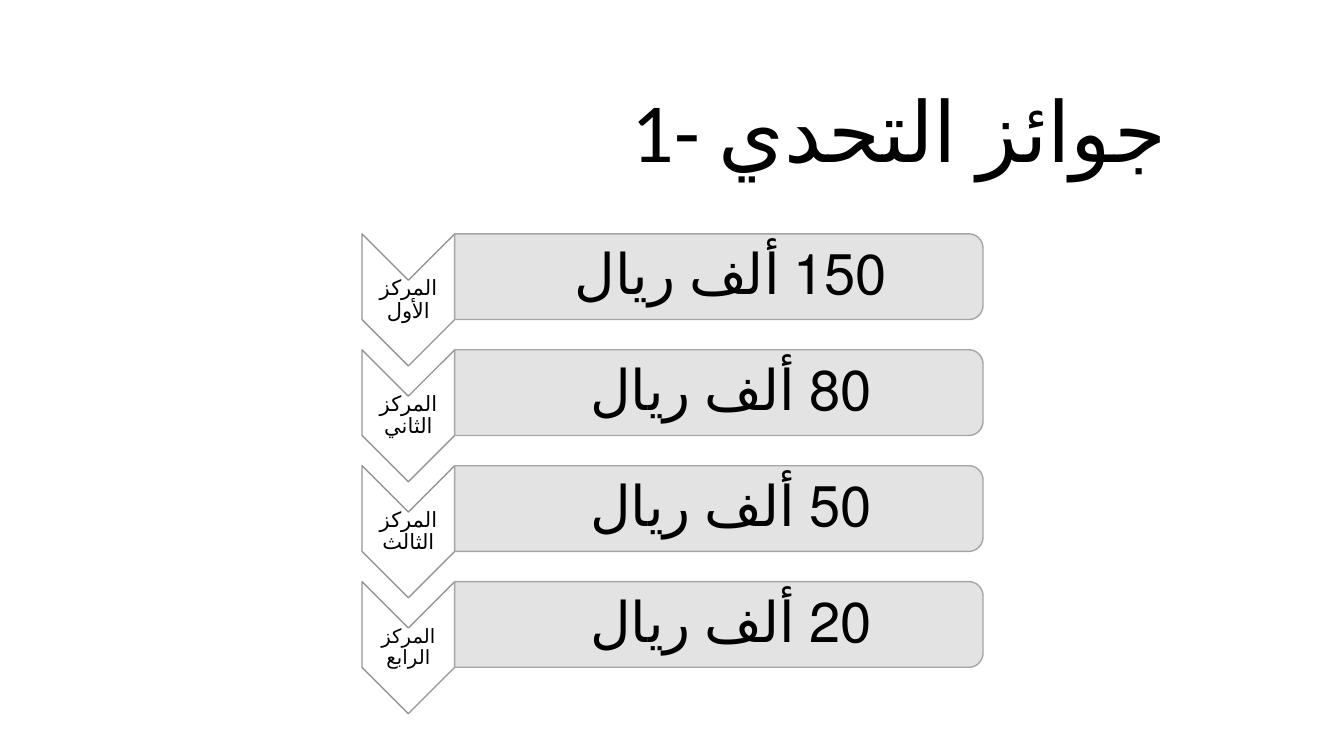
from math import cos, pi, sin

from lxml.etree import SubElement
from pptx import Presentation
from pptx.dml.color import RGBColor
from pptx.enum.lang import MSO_LANGUAGE_ID
from pptx.enum.text import MSO_ANCHOR, PP_ALIGN
from pptx.oxml.ns import qn
from pptx.util import Inches, Pt

TITLE = "1- جوائز التحدي"
PRIZES = [  # rank, rank text size, prize
    ("المركز الأول", 15, "150 ألف ريال"),
    ("المركز الثاني", 15, "80 ألف ريال"),
    ("المركز الثالث", 15, "50 ألف ريال"),
    ("المركز الرابع", 14, "20 ألف ريال"),
]

LEFT, TOP, PITCH = 3.59, 2.32, 1.15
RANK_WIDTH, PRIZE_WIDTH = 0.92, 5.24
ROW_HEIGHT, POINT_DEPTH, CORNER = 0.85, 0.46, 0.14
INK, FONT = "000000", "Calibri"


def color(hex_code):
    """Turn a hex string into a colour."""
    return RGBColor.from_string(hex_code)


def write(shape, text, size, align=PP_ALIGN.CENTER, anchor=MSO_ANCHOR.MIDDLE,
          insets=None, after=0, rtl=False, hanging=0):
    """Put one formatted paragraph into a shape; after is a share of the size."""
    frame = shape.text_frame
    frame.word_wrap = True
    frame.vertical_anchor = anchor
    if insets:
        (frame.margin_left, frame.margin_top,
         frame.margin_right, frame.margin_bottom) = map(Inches, insets)
    paragraph = frame.paragraphs[0]
    paragraph.alignment = align
    paragraph.line_spacing = 0.9
    paragraph.space_after = Pt(after * size)
    properties = paragraph._p.get_or_add_pPr()
    if rtl:
        properties.set("rtl", "1")
    if hanging:
        paragraph.level = 1
        properties.set("marL", str(Inches(hanging)))
        properties.set("indent", str(-Inches(hanging)))
    run = paragraph.add_run()
    run.text = text
    run.font.size = Pt(size)
    run.font.name = FONT
    run.font.language_id = MSO_LANGUAGE_ID.ARABIC
    run.font.color.rgb = color(INK)


def outline(slide, points, fill, line, opacity=100):
    """Draw a closed outline through points given in inches."""
    start, *rest = [(Inches(x), Inches(y)) for x, y in points]
    builder = slide.shapes.build_freeform(*start)
    builder.add_line_segments(rest, close=True)
    shape = builder.convert_to_shape()
    shape.shadow.inherit = False
    shape.fill.solid()
    shape.fill.fore_color.rgb = color(fill)
    if opacity < 100:
        solid = shape._element.spPr.find(qn("a:solidFill"))
        SubElement(solid[0], qn("a:alpha")).set("val", str(opacity * 1000))
    shape.line.color.rgb = color(line)
    shape.line.width = Pt(1)
    return shape


def chevron_points(left, top):
    """Corners of a chevron that points down."""
    right, middle = left + RANK_WIDTH, left + RANK_WIDTH / 2
    bottom = top + ROW_HEIGHT
    return [(left, top), (middle, top + POINT_DEPTH), (right, top),
            (right, bottom), (middle, bottom + POINT_DEPTH), (left, bottom)]


def bar_points(left, top, steps=8):
    """Corners of a bar whose right end is rounded."""
    right, bottom = left + PRIZE_WIDTH, top + ROW_HEIGHT
    angles = [pi / 2 * step / steps for step in range(steps + 1)]
    upper = [(right - CORNER + CORNER * sin(a), top + CORNER - CORNER * cos(a))
             for a in angles]
    lower = [(x, top + bottom - y) for x, y in reversed(upper)]
    return [(left, top), *upper, *lower, (left, bottom)]


deck = Presentation()
deck.slide_width, deck.slide_height = Inches(13.33), Inches(7.5)
slide = deck.slides.add_slide(deck.slide_layouts[0])
subtitle = slide.placeholders[1]._element
subtitle.getparent().remove(subtitle)

title = slide.shapes.title
title.left, title.top, title.width, title.height = map(
    Inches, (1.67, 0.42, 10, 1.42))
write(title, TITLE, 60, align=PP_ALIGN.RIGHT, anchor=MSO_ANCHOR.BOTTOM)

for row, (rank, rank_size, prize) in enumerate(PRIZES):
    top = TOP + row * PITCH
    chevron = outline(slide, chevron_points(LEFT, top), "FFFFFF", "969696")
    write(chevron, rank, rank_size, insets=(0.1, 0.47, 0.1, 0.47),
          after=0.35, rtl=True)
    bar = outline(slide, bar_points(LEFT + RANK_WIDTH, top),
                  "E1E1E1", "A5A5A5", opacity=90)
    write(bar, prize, 40, insets=(0.31, 0.07, 0.07, 0.07),
          after=0.15, rtl=True, hanging=0.31)

deck.save("out.pptx")
